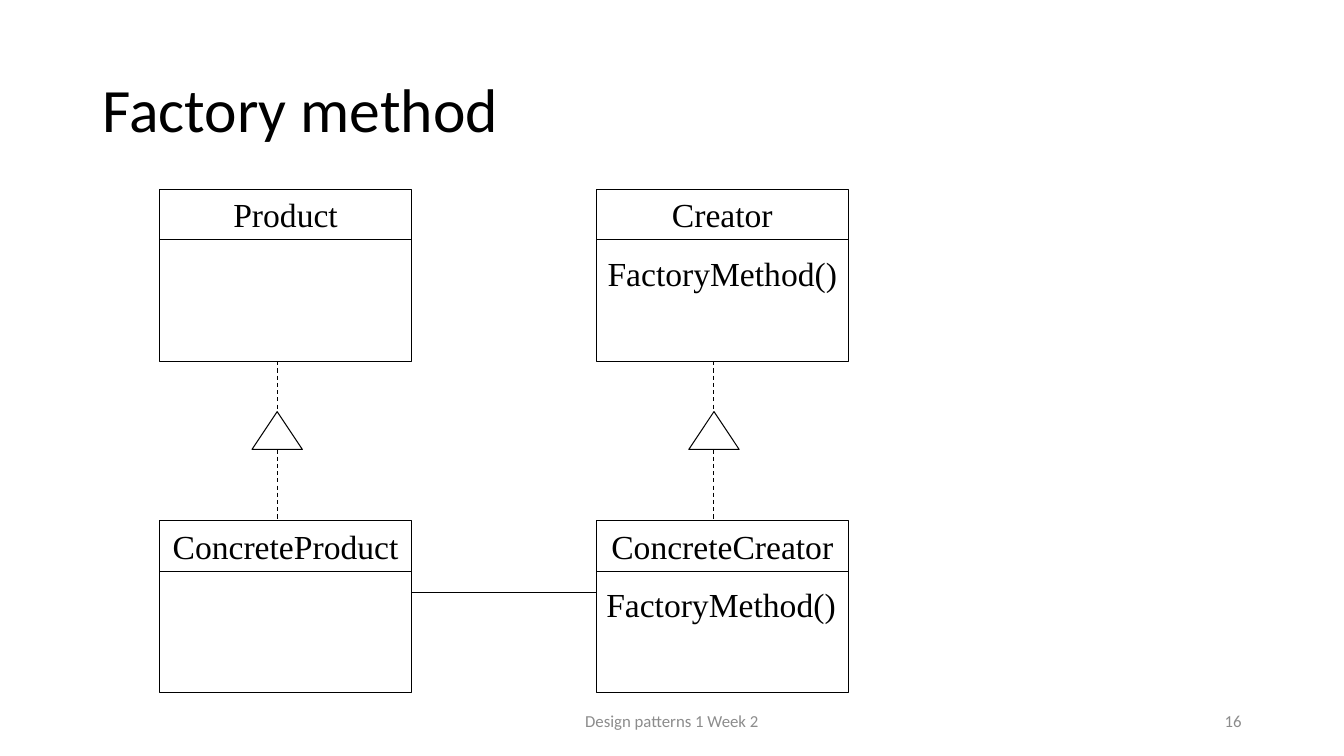
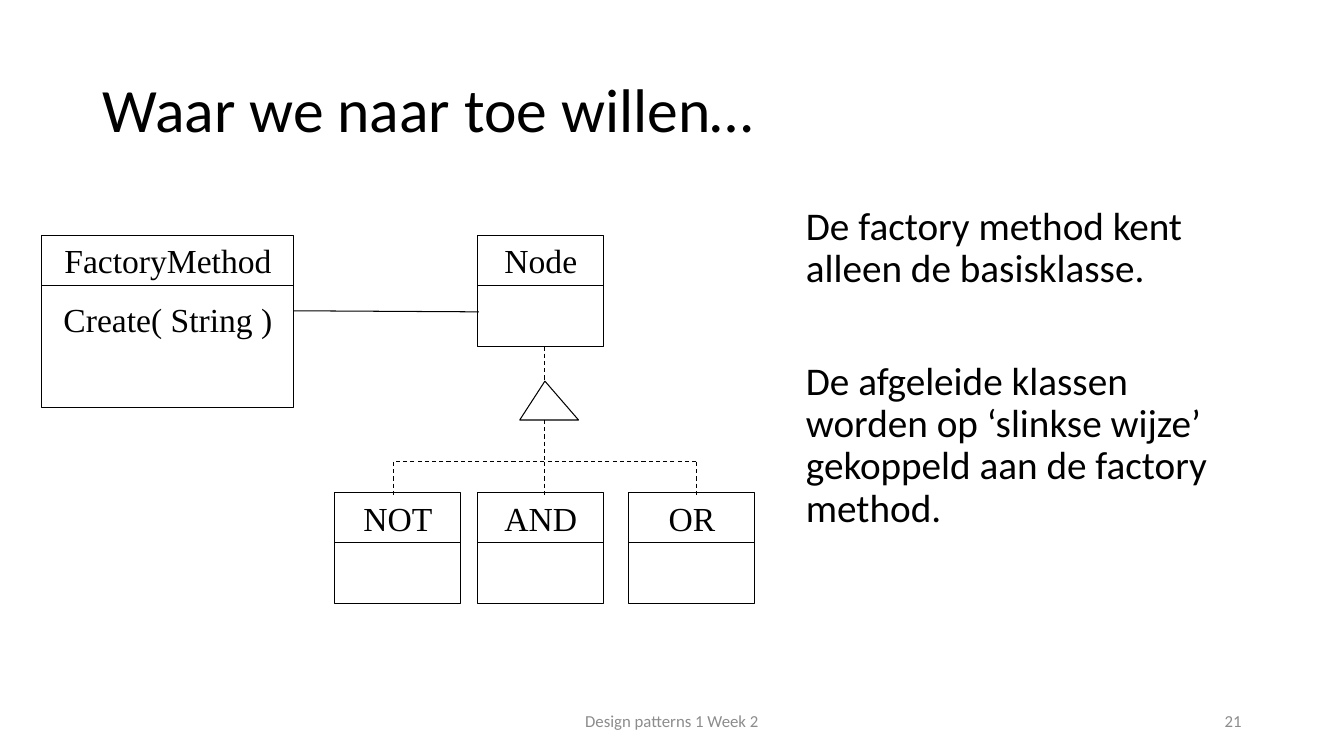
from lxml import etree
from pptx import Presentation
from pptx.dml.color import RGBColor
from pptx.enum.dml import MSO_LINE
from pptx.enum.shapes import MSO_CONNECTOR, MSO_SHAPE
from pptx.enum.text import MSO_ANCHOR, MSO_AUTO_SIZE, PP_ALIGN
from pptx.oxml.ns import qn
from pptx.util import Emu, Pt

PX = 9525
BLACK, GREY = "000000", "8C8C8C"
SANS, SERIF = "Calibri", "Times New Roman"
LEFT, CENTER, RIGHT = PP_ALIGN.LEFT, PP_ALIGN.CENTER, PP_ALIGN.RIGHT
TOP, MIDDLE = MSO_ANCHOR.TOP, MSO_ANCHOR.MIDDLE
NO_FIT = MSO_AUTO_SIZE.NONE
RECTANGLE, TRIANGLE = MSO_SHAPE.RECTANGLE, MSO_SHAPE.ISOSCELES_TRIANGLE
STRAIGHT, DASH = MSO_CONNECTOR.STRAIGHT, MSO_LINE.DASH
HEADER_HEIGHT = 48
CLASS_WIDTH, CLASS_HEIGHT = 240, 164
SMALL_WIDTH, SMALL_HEIGHT = 120, 106


def px(*lengths):
    """Turn pixel lengths into a list of EMU lengths."""
    return [Emu(length * PX) for length in lengths]


def color(value):
    """Turn a hex string into a colour."""
    return RGBColor.from_string(value)


def set_frame(shape, anchor):
    """Make the text of a shape wrap, with a fixed size and the given anchor."""
    frame = shape.text_frame
    frame.word_wrap = True
    frame.auto_size = NO_FIT
    frame.vertical_anchor = anchor
    return frame


def add_paragraph(frame, text, size, font, tint=BLACK, align=LEFT):
    """Write one paragraph, using the first one while it is empty."""
    first = frame.paragraphs[0]
    para = frame.add_paragraph() if first.runs else first
    para.alignment = align
    span = para.add_run()
    span.text = text
    span.font.size = Pt(size)
    span.font.name = font
    span.font.color.rgb = color(tint)
    return para


def place(shape, left, top, width, height):
    """Move and size a placeholder."""
    shape.left, shape.top, shape.width, shape.height = px(left, top, width, height)


def add_footer(page, bounds, text, align):
    """Add one grey text at the foot of the page."""
    box = page.shapes.add_textbox(*px(*bounds))
    add_paragraph(set_frame(box, MIDDLE), text, 12, SANS, GREY, align)


def add_page(deck, layout, title, number):
    """Add a page with the shared title style and footers."""
    page = deck.slides.add_slide(deck.slide_layouts.get_by_name(layout))
    place(page.shapes.title, 88, 38, 1104, 139)
    para = add_paragraph(set_frame(page.shapes.title, MIDDLE), title, 44, SANS)
    para.line_spacing = 0.9
    add_footer(page, (424, 667, 432, 38), "Design patterns 1 Week 2", CENTER)
    add_footer(page, (904, 667, 288, 38), str(number), RIGHT)
    return page


def add_body(page, texts):
    """Fill the body placeholder with paragraphs that have no bullets."""
    body = page.placeholders[1]
    place(body, 758, 192, 434, 457)
    frame = set_frame(body, TOP)
    for index, text in enumerate(texts):
        para = add_paragraph(frame, text, 28, SANS)
        para.line_spacing = 0.9
        para.space_before = Pt(50 if index else 10)
        properties = para._p.get_or_add_pPr()
        properties.set("marL", "0")
        properties.set("indent", "0")
        etree.SubElement(properties, qn("a:buNone"))


def set_line(line, dashed=False):
    """Give a line the thin black diagram style."""
    line.color.rgb = color(BLACK)
    line.width = Pt(0.75)
    if dashed:
        line.dash_style = DASH


def add_line(page, start, end, dashed=False):
    """Draw a straight line between two points."""
    connector = page.shapes.add_connector(STRAIGHT, *px(*start, *end))
    set_line(connector.line, dashed)
    etree.SubElement(connector._element.spPr, qn("a:effectLst"))


def add_outline(page, kind, left, top, width, height):
    """Draw a preset shape without a fill."""
    shape = page.shapes.add_shape(kind, *px(left, top, width, height))
    shape.shadow.inherit = False
    shape.fill.background()
    set_line(shape.line)
    return shape


def add_class(page, left, top, name, method=None, align=CENTER,
              width=CLASS_WIDTH, height=CLASS_HEIGHT):
    """Draw a class box with a name, a divider and an optional method."""
    box = add_outline(page, RECTANGLE, left, top, width, height)
    frame = set_frame(box, TOP)
    add_paragraph(frame, name, 24, SERIF, align=CENTER)
    if method:
        para = add_paragraph(frame, method, 24, SERIF, align=align)
        para.space_before = Pt(13)
    divider = top + HEADER_HEIGHT
    add_line(page, (left, divider), (left + width, divider))


def add_inheritance(page, axis, top, apex, base, bottom, right=24):
    """Draw a dashed vertical line broken by an open triangle."""
    left = 24
    add_line(page, (axis, top), (axis, apex), True)
    arrow = add_outline(page, TRIANGLE, axis - left, apex, left + right, base - apex)
    arrow.adjustments[0] = left / (left + right)
    add_line(page, (axis, base), (axis, bottom), True)


def build_pattern(deck):
    """Build the general class diagram."""
    page = add_page(deck, "Title Only", "Factory method", 16)
    parent_top, child_top = 180, 496
    product, creator = 152, 568
    add_class(page, product, parent_top, "Product")
    add_class(page, product, child_top, "ConcreteProduct")
    add_class(page, creator, parent_top, "Creator", "FactoryMethod()")
    add_class(page, creator, child_top, "ConcreteCreator", "FactoryMethod()", LEFT)
    for left in (product, creator):
        add_inheritance(page, left + 112, parent_top + CLASS_HEIGHT, 392, 428, child_top)
    add_line(page, (product + CLASS_WIDTH, 564), (creator, 564))


def build_goal(deck):
    """Build the class diagram of the nodes with its explanation."""
    page = add_page(deck, "Title and Content", "Waar we naar toe willen…", 21)
    add_body(page, (
        "De factory method kent alleen de basisklasse.",
        "De afgeleide klassen worden op ‘slinkse wijze’ gekoppeld aan de factory method.",
    ))
    parent_top, child_top = 224, 469
    factory, node = 40, 455
    nodes = ((node, parent_top, "Node"), (319, child_top, "NOT"),
             (node, child_top, "AND"), (599, child_top, "OR"))
    for left, top, name in nodes:
        add_class(page, left, top, name, width=SMALL_WIDTH, height=SMALL_HEIGHT)
    axis, spacing, branch = 519, 144, 440
    add_inheritance(page, axis, parent_top + SMALL_HEIGHT, 363, 400, branch, right=32)
    stems = [axis + step * spacing for step in (-1, 0, 1)]
    for stem in stems:
        add_line(page, (stem, branch), (stem, 472), True)
    add_line(page, (stems[-1], branch), (stems[0], branch), True)
    add_class(page, factory, parent_top, "FactoryMethod", "Create( String )")
    add_line(page, (factory + CLASS_WIDTH, 296), (456, 297))


def main():
    """Build and save the deck."""
    deck = Presentation()
    deck.slide_width, deck.slide_height = px(1280, 720)
    build_pattern(deck)
    build_goal(deck)
    deck.save("out.pptx")


if __name__ == "__main__":
    main()
